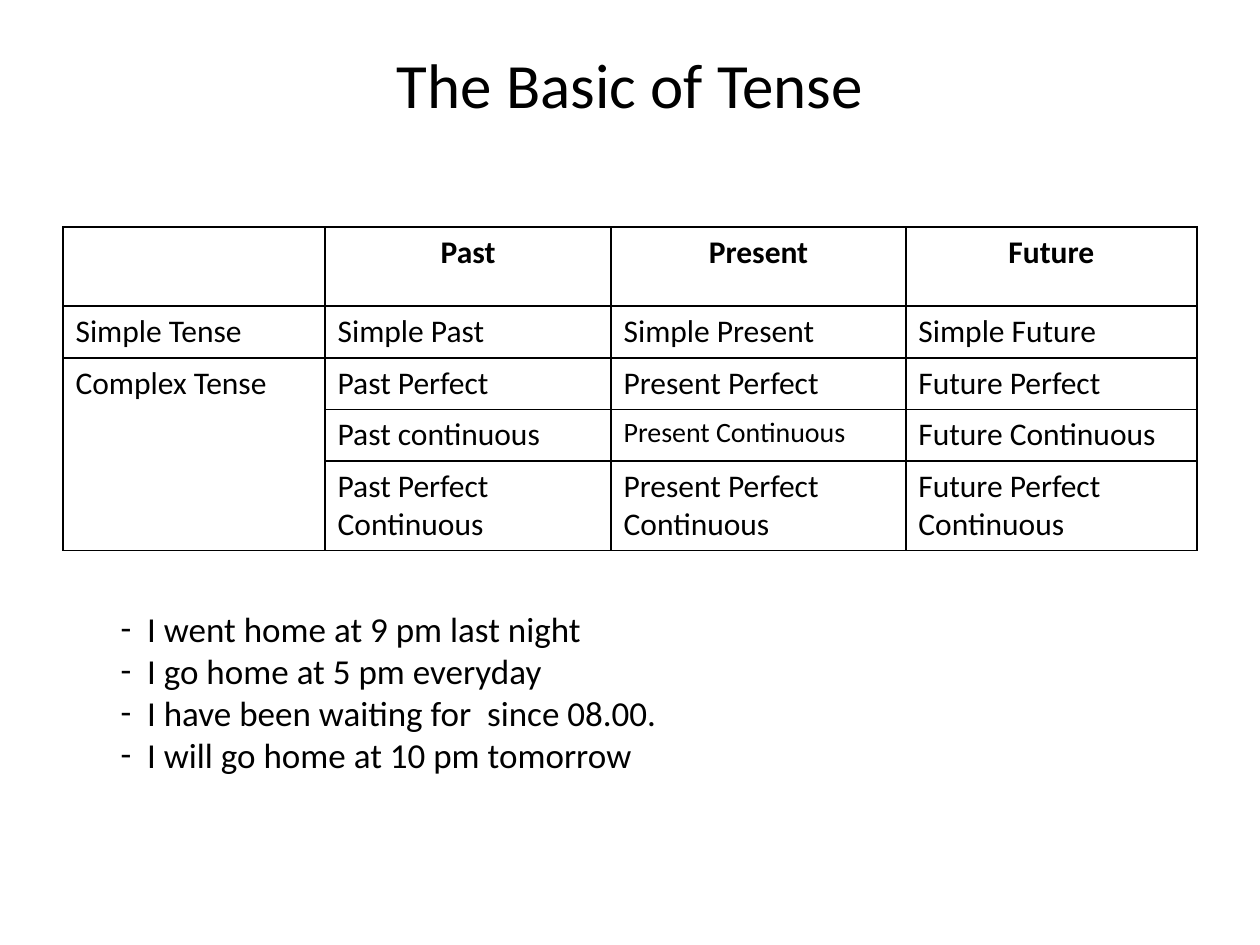
from typing import NamedTuple

from lxml import etree
from pptx import Presentation
from pptx import util as u
from pptx.dml.color import RGBColor
from pptx.enum import text as t
from pptx.oxml.ns import qn

HUES = {"ink": "000000", "page": "FFFFFF"}
FONT = "Calibri"


class Box(NamedTuple):
    """Place and size in inches."""
    left: float
    top: float
    width: float
    height: float


class Style(NamedTuple):
    """Look of a paragraph."""
    size: float = 18
    bold: bool = False
    align: t.PP_ALIGN = t.PP_ALIGN.LEFT


COLS = [2.08, 2.27, 2.34, 2.31]
ROWS = [0.63, 0.41, 0.41, 0.41, 0.71]
CELLS = [
    ["", "Past", "Present", "Future"],
    ["Simple Tense", "Simple Past", "Simple Present", "Simple Future"],
    ["Complex Tense", "Past Perfect", "Present Perfect", "Future Perfect"],
    ["", "Past continuous", "Present Continuous", "Future Continuous"],
    ["", "Past Perfect Continuous", "Present Perfect Continuous",
     "Future Perfect Continuous"],
]
LINES = [
    "I went home at 9 pm last night",
    "I go home at 5 pm everyday",
    "I have been waiting for  since 08.00.",
    "I will go home at 10 pm tomorrow",
]
HEAD = Style(bold=True, align=t.PP_ALIGN.CENTER)
SMALL = {(3, 2): Style(size=16)}


def dress(para, style: Style) -> None:
    """Format a paragraph and its runs."""
    para.alignment = style.align
    for run in para.runs:
        font = run.font
        font.name, font.size, font.bold = FONT, u.Pt(style.size), style.bold
        font.color.rgb = RGBColor.from_string(HUES["ink"])


def frame(cell) -> None:
    """Give a cell a thin line on each side."""
    props = cell._tc.get_or_add_tcPr()
    for spot, side in enumerate(("lnL", "lnR", "lnT", "lnB")):
        line = etree.Element(qn(f"a:{side}"), w=str(u.Pt(1)))
        fill = etree.SubElement(line, qn("a:solidFill"))
        etree.SubElement(fill, qn("a:srgbClr"), val=HUES["ink"])
        props.insert(spot, line)


def dash(para, indent: float) -> None:
    """Put a hanging dash before a paragraph."""
    props = para._p.get_or_add_pPr()
    props.set("marL", str(u.Inches(indent)))
    props.set("indent", str(-u.Inches(indent)))
    etree.SubElement(props, qn("a:buFont"), typeface=FONT)
    etree.SubElement(props, qn("a:buChar"), char="-")


def add_text(slide, box: Box, lines: list[str], style: Style):
    """Add a wrapped text box with one paragraph per line."""
    body = slide.shapes.add_textbox(*map(u.Inches, box)).text_frame
    body.word_wrap = True
    body.text = "\n".join(lines)
    for para in body.paragraphs:
        dress(para, style)
    return body


def add_grid(slide, box: Box) -> None:
    """Add the table of tenses."""
    grid = slide.shapes.add_table(
        len(ROWS), len(COLS), *map(u.Inches, box)).table
    grid.first_row = grid.horz_banding = False
    for col, width in zip(grid.columns, COLS):
        col.width = u.Inches(width)
    for row, height in zip(grid.rows, ROWS):
        row.height = u.Inches(height)
    for r, words in enumerate(CELLS):
        for c, word in enumerate(words):
            cell = grid.cell(r, c)
            cell.text = word
            cell.fill.background()
            frame(cell)
            style = HEAD if r == 0 else SMALL.get((r, c), Style())
            dress(cell.text_frame.paragraphs[0], style)
    grid.cell(2, 0).merge(grid.cell(4, 0))


def main() -> None:
    """Build and save the slide."""
    deck = Presentation()
    deck.slide_width, deck.slide_height = u.Inches(10), u.Inches(7.5)
    slide = deck.slides.add_slide(deck.slide_layouts[6])
    slide.background.fill.solid()
    slide.background.fill.fore_color.rgb = RGBColor.from_string(HUES["page"])
    title = add_text(slide, Box(0.5, 0.3, 9, 0.72), ["The Basic of Tense"],
                     Style(size=36, align=t.PP_ALIGN.CENTER))
    title.vertical_anchor = t.MSO_ANCHOR.MIDDLE
    add_grid(slide, Box(0.5, 1.8, sum(COLS), sum(ROWS)))
    notes = add_text(slide, Box(0.86, 4.77, 8.13, 1.45), LINES, Style(size=20))
    for para in notes.paragraphs:
        dash(para, 0.21)
    deck.save("out.pptx")


main()
